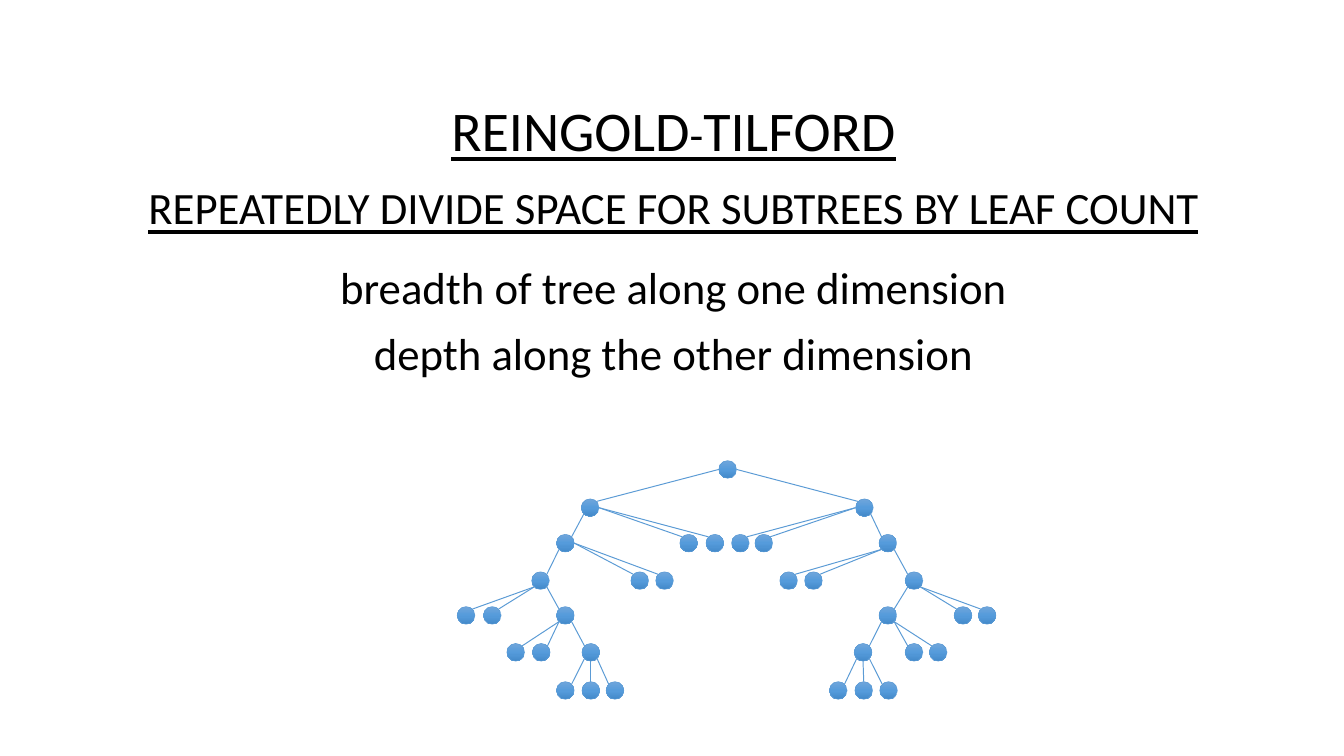
"""Build the slide on the Reingold-Tilford tree layout."""
from copy import deepcopy
from dataclasses import dataclass

from lxml import etree
from pptx import Presentation
from pptx.dml.color import RGBColor
from pptx.enum.shapes import MSO_CONNECTOR, MSO_SHAPE
from pptx.enum.text import MSO_ANCHOR, MSO_AUTO_SIZE, PP_ALIGN
from pptx.oxml.ns import qn
from pptx.util import Pt

CENTER = PP_ALIGN.CENTER
TOP = MSO_ANCHOR.TOP
NO_AUTOFIT = MSO_AUTO_SIZE.NONE
ELLIPSE = MSO_SHAPE.OVAL
STRAIGHT = MSO_CONNECTOR.STRAIGHT


@dataclass(frozen=True)
class Theme:
    """Colours, font and sizes of the slide."""
    font: str = "Calibri"
    text: RGBColor = RGBColor(0x00, 0x00, 0x00)
    line: RGBColor = RGBColor(0x5B, 0x9B, 0xD5)
    node_stops: tuple = (
        RGBColor(0x71, 0xA6, 0xDB),
        RGBColor(0x55, 0x9B, 0xDB),
        RGBColor(0x44, 0x8A, 0xCA),
    )
    heading_size: float = 56.9
    body_size: float = 45.5
    edge_width: float = 1
    outline_width: float = 0.5


THEME = Theme()
SLIDE_SIZE = (1365.1, 768.2)
TEXT_LEFT, TEXT_WIDTH = 75, 1218
DIAMETER = 18
LEVEL_TOPS = (468, 506.9, 542.9, 581, 616.3, 653.8, 692.6)

DIAGONAL = 0.5 ** 0.5
DIRECTIONS = {
    "N": (0, -1), "S": (0, 1), "W": (-1, 0), "E": (1, 0),
    "NW": (-DIAGONAL, -DIAGONAL), "NE": (DIAGONAL, -DIAGONAL),
    "SW": (-DIAGONAL, DIAGONAL), "SE": (DIAGONAL, DIAGONAL),
}

BRANCHES = (
    (0, 730.1, {"W": (590.4,), "E": (869,)}),
    (1, 590.4, {"SW": (565.2,), "E": (690.5, 717.1)}),
    (1, 869, {"SE": (892.8,), "W": (743, 766.8)}),
    (2, 565.2, {"SW": (540,), "E": (640.8, 666)}),
    (2, 892.8, {"SE": (919.4,), "SW": (792, 817.2)}),
    (3, 540, {"SW": (464.4, 491), "SE": (565.2,)}),
    (3, 919.4, {"SW": (892.8,), "SE": (969.1, 993.6)}),
    (4, 565.2, {"SW": (514.8, 540.7), "SE": (591.1,)}),
    (4, 892.8, {"SW": (867.6,), "SE": (919.4, 943.9)}),
    (5, 591.1, {"SW": (565.2,), "S": (591.1,), "SE": (615.6,)}),
    (5, 867.6, {"SW": (842.4,), "S": (868.3,), "SE": (893.5,)}),
)


def place_text(shape, top, height):
    """Place a text shape in the centred column and clear its margins."""
    shape.left, shape.top = Pt(TEXT_LEFT), Pt(top)
    shape.width, shape.height = Pt(TEXT_WIDTH), Pt(height)
    frame = shape.text_frame
    frame.auto_size = NO_AUTOFIT
    frame.word_wrap = True
    frame.vertical_anchor = TOP
    frame.margin_left = frame.margin_right = 0
    frame.margin_top = frame.margin_bottom = 0


def format_paragraph(paragraph, size, heading):
    """Centre a paragraph and style its runs as heading or body."""
    paragraph.alignment = CENTER
    paragraph.line_spacing = 0.9
    paragraph.space_before = Pt(0 if heading else 18)
    paragraph.space_after = Pt(12 if heading else 0)
    for run in paragraph.runs:
        run.font.name = THEME.font
        run.font.size = Pt(size)
        run.font.color.rgb = THEME.text
        run.font.underline = heading
        if heading:
            run._r.get_or_add_rPr().set("cap", "small")


def add_title(slide, text):
    """Fill and place the title placeholder."""
    title = slide.shapes.title
    place_text(title, 105, 74)
    title.text_frame.text = text
    format_paragraph(title.text_frame.paragraphs[0], THEME.heading_size, True)


def add_body(slide, heading, lines):
    """Add the underlined subheading with its plain lines."""
    body = slide.shapes.add_textbox(0, 0, 0, 0)
    place_text(body, 179, 210)
    body.text_frame.text = "\n".join([heading, *lines])
    first, *others = body.text_frame.paragraphs
    format_paragraph(first, THEME.heading_size, True)
    for paragraph in others:
        format_paragraph(paragraph, THEME.body_size, False)


def add_node(group, level, left):
    """Add one tree node with a vertical gradient."""
    node = group.shapes.add_shape(
        ELLIPSE, Pt(left), Pt(LEVEL_TOPS[level]), Pt(DIAMETER), Pt(DIAMETER))
    node.shadow.inherit = False
    node.fill.gradient()
    node.fill.gradient_angle = 270
    stop_list = node._element.spPr.find(qn("a:gradFill")).find(qn("a:gsLst"))
    stop_list.insert(1, deepcopy(stop_list[0]))
    stops = zip(node.fill.gradient_stops, (0, 0.5, 1), THEME.node_stops)
    for stop, position, color in stops:
        stop.position = position
        stop.color.rgb = color
    node.line.color.rgb = THEME.line
    node.line.width = Pt(THEME.outline_width)


def rim_point(level, left, direction):
    """Return the point on a node's rim in a compass direction."""
    radius = DIAMETER / 2
    across, down = DIRECTIONS[direction]
    return (Pt(left + radius * (1 + across)),
            Pt(LEVEL_TOPS[level] + radius * (1 + down)))


def add_edge(group, level, parent, side, child):
    """Link a parent's rim to the facing upper rim of its child."""
    facing = "N" if side == "S" else "NE" if child < parent else "NW"
    edge = group.shapes.add_connector(
        STRAIGHT, *rim_point(level, parent, side),
        *rim_point(level + 1, child, facing))
    edge.line.color.rgb = THEME.line
    edge.line.width = Pt(THEME.edge_width)
    etree.SubElement(edge._element.spPr, qn("a:effectLst"))


def add_tree(slide):
    """Draw the nodes of the tree and then its edges."""
    group = slide.shapes.add_group_shape()
    edges = [(level, parent, side, child)
             for level, parent, sides in BRANCHES
             for side, children in sides.items()
             for child in children]
    add_node(group, *BRANCHES[0][:2])
    for level, _, _, child in edges:
        add_node(group, level + 1, child)
    for edge in edges:
        add_edge(group, *edge)


def main():
    """Build and save the presentation."""
    presentation = Presentation()
    presentation.slide_width, presentation.slide_height = map(Pt, SLIDE_SIZE)
    slide = presentation.slides.add_slide(presentation.slide_layouts[5])
    add_title(slide, "REINGOLD-TILFORD")
    add_body(slide, "repeatedly divide space for subtrees by leaf count",
             ("breadth of tree along one dimension",
              "depth along the other dimension"))
    add_tree(slide)
    presentation.save("out.pptx")


if __name__ == "__main__":
    main()
